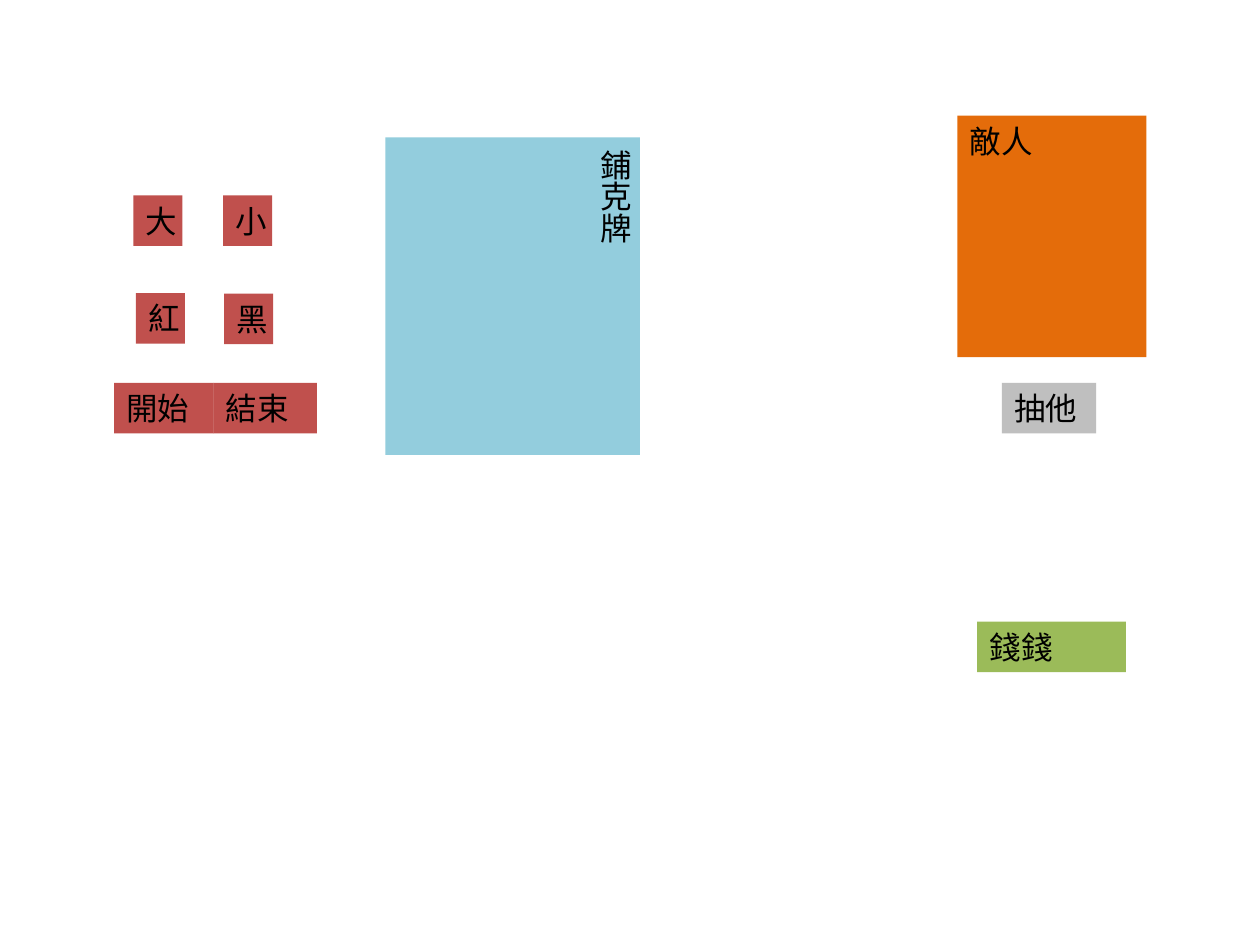
from pptx import Presentation
from pptx.dml.color import RGBColor
from pptx.enum.text import MSO_ANCHOR
from pptx.oxml.ns import qn
from pptx.util import Cm, Pt

TOP = MSO_ANCHOR.TOP
BLACK = RGBColor(0x00, 0x00, 0x00)
RED = RGBColor(0xC0, 0x50, 0x4D)
BLUE = RGBColor(0x93, 0xCD, 0xDD)
ORANGE = RGBColor(0xE4, 0x6C, 0x0A)
GREY = RGBColor(0xBF, 0xBF, 0xBF)
GREEN = RGBColor(0x9B, 0xBB, 0x59)

ROW = 1.02    # height of a one-line box, cm
KEY = 0.99    # width of a one-character box, cm
BASE = 7.72   # top of the lower button row, cm

# text, fill, left, top, width, height (cm)
BOXES = [
    ("大", RED, 2.69, 3.94, KEY, ROW),
    ("小", RED, 4.5, 3.94, KEY, ROW),
    ("紅", RED, 2.74, 5.91, KEY, ROW),
    ("黑", RED, 4.52, 5.92, KEY, ROW),
    ("鋪克牌", BLUE, 7.77, 2.77, 5.13, 6.4),
    ("開始", RED, 2.3, BASE, 2.01, ROW),
    ("結束", RED, 4.3, BASE, 2.09, ROW),
    ("敵人", ORANGE, 19.3, 2.33, 3.81, 4.87),
    ("抽他", GREY, 20.2, BASE, 1.9, ROW),
    ("錢錢", GREEN, 19.7, 12.53, 3, ROW),
]
UPRIGHT = {"鋪克牌"}
FRAME = {"word_wrap": True, "vertical_anchor": TOP}
FONT = {"name": "Calibri", "size": Pt(18)}


def apply(target, values):
    for name, value in values.items():
        setattr(target, name, value)


def add_box(slide, text, fill, *place):
    box = slide.shapes.add_textbox(*map(Cm, place))
    box.fill.solid()
    box.fill.fore_color.rgb = fill
    frame = box.text_frame
    apply(frame, FRAME)
    run = frame.paragraphs[0].add_run()
    run.text = text
    apply(run.font, FONT)
    run.font.color.rgb = BLACK
    if text in UPRIGHT:
        next(box.element.iter(qn("a:bodyPr"))).set("vert", "eaVert")


def main():
    deck = Presentation()
    deck.slide_width, deck.slide_height = Cm(25.4), Cm(19.05)
    slide = deck.slides.add_slide(deck.slide_layouts[6])
    for box in BOXES:
        add_box(slide, *box)
    deck.save("out.pptx")


if __name__ == "__main__":
    main()
